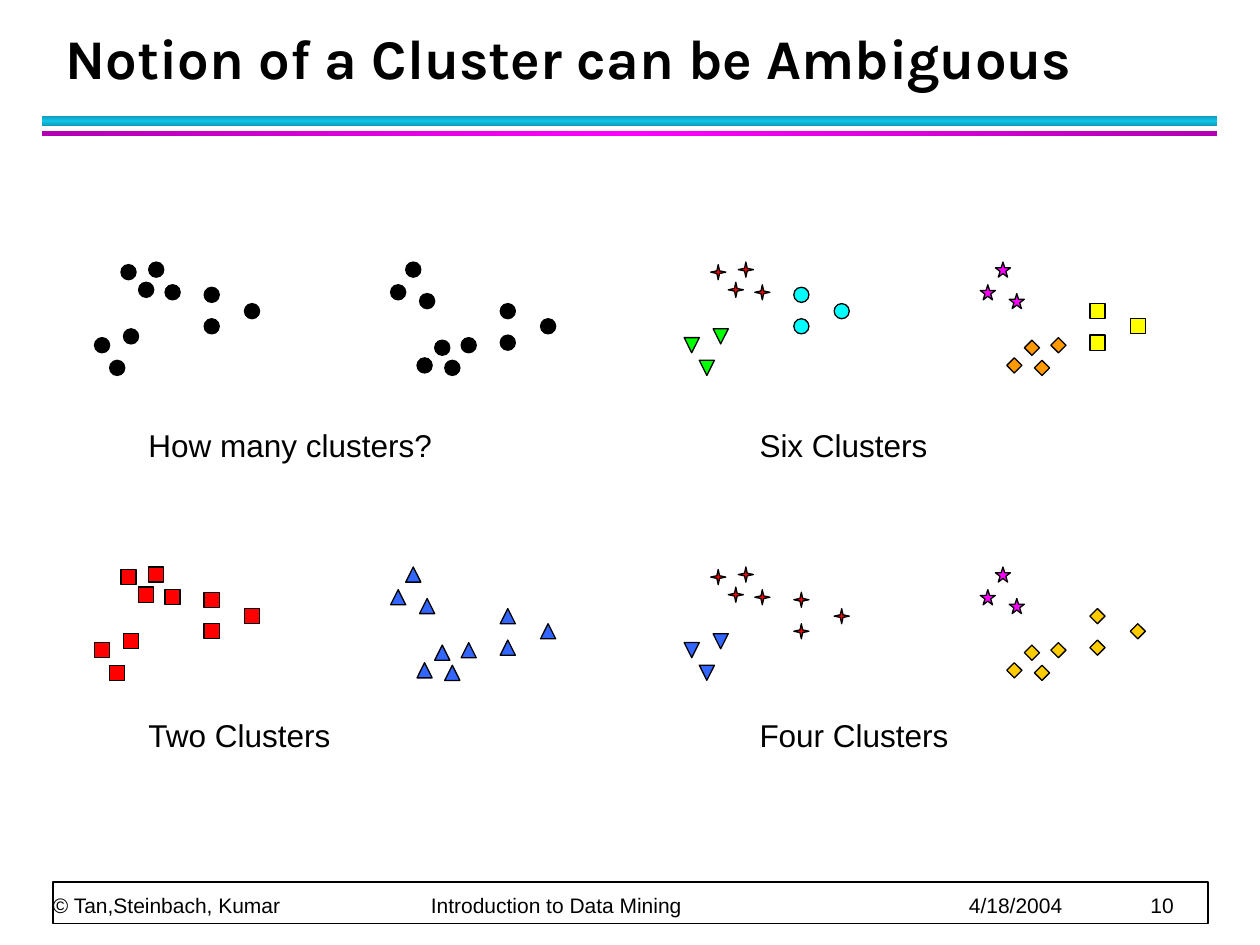
from copy import deepcopy
from dataclasses import dataclass

from pptx import Presentation
from pptx.dml.color import RGBColor
from pptx.enum.shapes import MSO_SHAPE
from pptx.enum.text import MSO_ANCHOR
from pptx.oxml import parse_xml
from pptx.oxml.ns import nsdecls, qn
from pptx.util import Inches, Pt


@dataclass(frozen=True)
class Theme:
    black: str = "000000"
    white: str = "FFFFFF"
    red: str = "FF0000"
    blue: str = "3366FF"
    green: str = "00FF00"
    cyan: str = "00FFFF"
    magenta: str = "FF00FF"
    orange: str = "FF9900"
    gold: str = "FFCC00"
    yellow: str = "FFFF00"
    aqua_bar: tuple = ("0E9BBA", "12C2E9", "0E9BBA")
    magenta_bar: tuple = ("B200B2", "FF00FF", "B200B2")
    title_font: str = "Karla"
    body_font: str = "Arial"
    title_size: int = 32
    caption_size: int = 18
    footer_size: int = 12


class Deck:
    def __init__(self, theme):
        self.theme = theme
        self.prs = Presentation()
        self.prs.slide_width, self.prs.slide_height = Inches(10), Inches(7.5)
        self.s = self.prs.slides.add_slide(self.prs.slide_layouts[6])
        self.shapes = self.s.shapes

    def group(self):
        """Send the following elements to a new group."""
        self.shapes = self.s.shapes.add_group_shape().shapes

    def shape(self, kind, x, y, w, h, fill, line=0.75, flip=False):
        sp = self.shapes.add_shape(kind, Inches(x), Inches(y), Inches(w), Inches(h))
        sp.shadow.inherit = False
        sp.fill.solid()
        sp.fill.fore_color.rgb = RGBColor.from_string(fill)
        sp.line.color.rgb = RGBColor.from_string(self.theme.black)
        sp.line.width = Pt(line)
        if flip:
            sp._element.spPr.find(qn("a:xfrm")).set("flipV", "1")
        return sp

    def gradient_bar(self, x, y, w, h, colors, angle):
        sp = self.shape(MSO_SHAPE.RECTANGLE, x, y, w, h, colors[0])
        sp.line.fill.background()
        sp.fill.gradient()
        sp.fill.gradient_angle = angle
        stops = sp._element.spPr.find(".//" + qn("a:gsLst"))
        stops.append(deepcopy(stops[0]))
        for i, (stop, color) in enumerate(zip(sp.fill.gradient_stops, colors)):
            stop.position = i / 2
            stop.color.rgb = RGBColor.from_string(color)

    def text(self, text, x, y, w, h, size, font=None, bold=False,
             spacing=None, anchor=MSO_ANCHOR.TOP, inset=None, tabs=()):
        tb = self.shapes.add_textbox(Inches(x), Inches(y), Inches(w), Inches(h))
        tf = tb.text_frame
        tf.word_wrap = True
        tf.vertical_anchor = anchor
        if inset is not None:
            tf.margin_left = tf.margin_right = Inches(inset)
            tf.margin_top = tf.margin_bottom = Inches(inset)
        p = tf.paragraphs[0]
        p.text = text
        if spacing:
            p.line_spacing = Pt(spacing)
        if tabs:
            tab_list = parse_xml(f"<a:tabLst {nsdecls('a')}/>")
            for tab in tabs:
                tab_list.append(parse_xml(
                    f'<a:tab {nsdecls("a")} pos="{Inches(tab)}" algn="l"/>'))
            p._p.get_or_add_pPr().append(tab_list)
        for r in p.runs:
            r.font.name = font or self.theme.body_font
            r.font.size, r.font.bold = Pt(size), bold
            r.font.color.rgb = RGBColor.from_string(self.theme.black)

    def points(self, offsets, x, y, marker):
        kind, color, *flip = marker
        for dx, dy in offsets:
            self.shape(kind, x + dx, y + dy, 0.12, 0.12, color, flip=bool(flip))


# Point offsets within half a panel; the right half is the left one upside down
FOUR = [(0.56, 0.18), (0.21, 0.02), (0.43, 0), (0.35, 0.16)]
THREE = [(0.23, 0.53), (0, 0.6), (0.12, 0.78)]
EAST = [(0.87, 0.2), (1.19, 0.33), (0.87, 0.45)]
CLOUDS = (FOUR, THREE, EAST)
CLOUD_HEIGHT, HALF_STEP = 0.78, 2.35


def main():
    t = Theme()
    deck = Deck(t)

    # Footer
    deck.shape(MSO_SHAPE.RECTANGLE, 0.42, 7, 9.17, 0.33, t.white, line=1)
    deck.text("© Tan,Steinbach, Kumar\tIntroduction to Data Mining\t4/18/2004\t10",
              0.42, 7, 9.15, 0.28, t.footer_size, spacing=20,
              anchor=MSO_ANCHOR.BOTTOM, inset=0, tabs=(3, 7.27, 8.71))

    # Title and rules
    deck.gradient_bar(0.33, 0.92, 9.33, 0.08, t.aqua_bar, 90)
    deck.gradient_bar(0.33, 1.04, 9.33, 0.04, t.magenta_bar, 0)
    deck.text("Notion of a Cluster can be Ambiguous", 0.42, 0.17, 9.06, 0.6,
              t.title_size, t.title_font, bold=True, spacing=36,
              anchor=MSO_ANCHOR.BOTTOM)

    # Markers: shape, colour and, where needed, a vertical flip
    dot = (MSO_SHAPE.OVAL, t.black)
    square = (MSO_SHAPE.RECTANGLE, t.red)
    triangle = (MSO_SHAPE.ISOSCELES_TRIANGLE, t.blue)
    spark = (MSO_SHAPE.STAR_4_POINT, t.red)
    star = (MSO_SHAPE.STAR_5_POINT, t.magenta)
    green_down = (MSO_SHAPE.ISOSCELES_TRIANGLE, t.green, True)
    blue_down = (MSO_SHAPE.FLOWCHART_EXTRACT, t.blue, True)
    cyan_dot = (MSO_SHAPE.OVAL, t.cyan)
    yellow_square = (MSO_SHAPE.RECTANGLE, t.yellow)
    orange_diamond = (MSO_SHAPE.DIAMOND, t.orange)
    gold_diamond = (MSO_SHAPE.DIAMOND, t.gold)

    # Caption, left markers and right markers, in the order of CLOUDS
    panels = [
        ("How many clusters?", [dot] * 3, [dot] * 3),
        ("Six Clusters", [spark, green_down, cyan_dot],
         [orange_diamond, star, yellow_square]),
        ("Two Clusters", [square] * 3, [triangle] * 3),
        ("Four Clusters", [spark, blue_down, spark],
         [gold_diamond, star, gold_diamond]),
    ]
    for i, (caption, left, right) in enumerate(panels):
        row, col = divmod(i, 2)
        x, y = 0.75 + 4.68 * col, 2.08 + 2.42 * row
        deck.group()
        for cloud, left_marker, right_marker in zip(CLOUDS, left, right):
            mirrored = [(dx, CLOUD_HEIGHT - dy) for dx, dy in cloud]
            deck.points(cloud, x, y, left_marker)
            deck.points(mirrored, x + HALF_STEP, y, right_marker)
        deck.text(caption, 1.08 + 4.85 * col, 3.33 + 2.3 * row, 2.5, 0.4,
                  t.caption_size)

    deck.prs.save("out.pptx")


if __name__ == "__main__":
    main()
